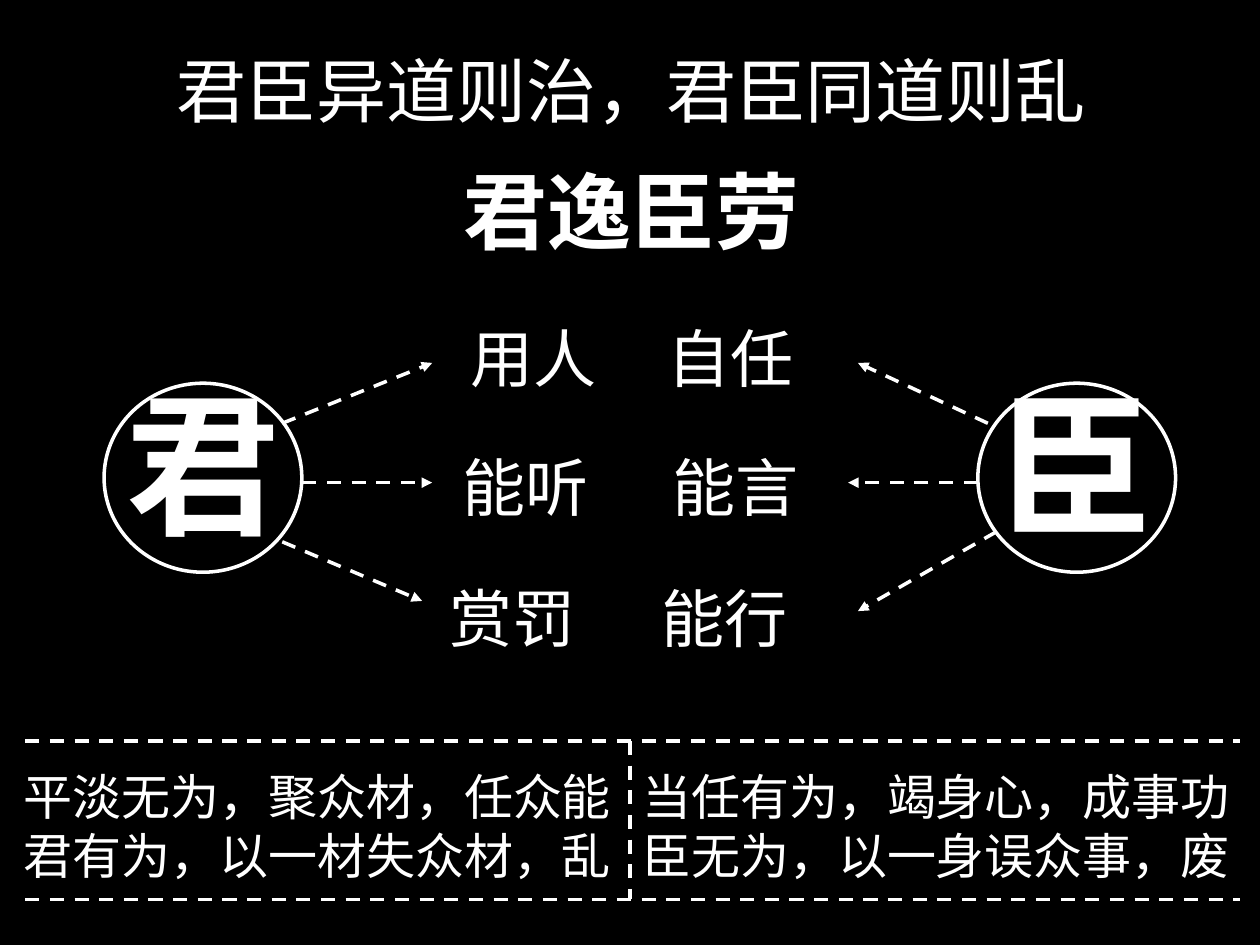
"""Build the slide contrasting the ways of ruler and minister."""
import pptx
import pptx.dml.color
import pptx.enum.dml
import pptx.enum.shapes
import pptx.enum.text
import pptx.oxml
import pptx.oxml.ns
import pptx.util

Pt = pptx.util.Pt
BLACK = pptx.dml.color.RGBColor(0, 0, 0)
WHITE = pptx.dml.color.RGBColor(255, 255, 255)
LATIN, CHINESE = "Arial", "Noto Sans CJK SC"


def write(box, text, size=28, font=LATIN, bold=False, before=0, tab=None,
          align=pptx.enum.text.PP_ALIGN.LEFT, first=False):
    """Add one formatted paragraph to a box."""
    frame = box.text_frame
    para = frame.paragraphs[0] if first else frame.add_paragraph()
    para.alignment = align
    para.space_before = Pt(before)
    if tab:
        stops = pptx.oxml.parse_xml(
            f'<a:tabLst {pptx.oxml.ns.nsdecls("a")}><a:tab pos="{Pt(tab)}" algn="l"/></a:tabLst>')
        para._p.get_or_add_pPr().append(stops)
    span = para.add_run()
    span.text = text
    span.font.size = Pt(size)
    span.font.name = font
    span.font.bold = bold
    span.font.color.rgb = WHITE


class Painter:
    """Hold the line style and the current page."""

    def __init__(self, page, weight=2):
        self.page = page
        self.weight = Pt(weight)
        page.background.fill.solid()
        page.background.fill.fore_color.rgb = BLACK

    def text(self, left, top, width, height, inset=7.2, wrap=True, middle=False):
        """Add an empty text box."""
        box = self.page.shapes.add_textbox(Pt(left), Pt(top), Pt(width), Pt(height))
        box.text_frame.word_wrap = wrap
        box.text_frame.margin_left = Pt(inset)
        if middle:
            box.text_frame.vertical_anchor = pptx.enum.text.MSO_ANCHOR.MIDDLE
        return box

    def circle(self, left, top, width, height):
        """Add an outlined ellipse."""
        oval = self.page.shapes.add_shape(
            pptx.enum.shapes.MSO_SHAPE.OVAL, Pt(left), Pt(top), Pt(width), Pt(height))
        oval.shadow.inherit = False
        oval.fill.background()
        oval.line.color.rgb = WHITE
        oval.line.width = self.weight

    def dash(self, start_x, start_y, end_x, end_y, arrow=False):
        """Add a dashed line, with an arrowhead at its end if asked."""
        line = self.page.shapes.add_connector(
            pptx.enum.shapes.MSO_CONNECTOR.STRAIGHT,
            Pt(start_x), Pt(start_y), Pt(end_x), Pt(end_y))
        line.line.color.rgb = WHITE
        line.line.width = self.weight
        line.line.dash_style = pptx.enum.dml.MSO_LINE.DASH
        space = pptx.oxml.ns.nsdecls("a")
        if arrow:
            line.line._get_or_add_ln().append(
                pptx.oxml.parse_xml(f'<a:tailEnd {space} type="triangle"/>'))
        line._element.spPr.append(pptx.oxml.parse_xml(f"<a:effectLst {space}/>"))


def main():
    """Build and save the deck."""
    deck = pptx.Presentation()
    deck.slide_width, deck.slide_height = Pt(720), Pt(540)
    painter = Painter(deck.slides.add_slide(deck.slide_layouts[6]))

    center = pptx.enum.text.PP_ALIGN.CENTER
    title = painter.text(36.7, 31.7, 648, 112.3, middle=True)
    write(title, "君臣异道则治，君臣同道则乱", size=40, align=center, first=True)
    write(title, "君逸臣劳", size=48, bold=True, align=center, before=16)

    for role, left in (("君", 59.5), ("臣", 558.8)):
        painter.circle(left, 219, 113, 108)
        write(painter.text(left + 5.5, 207.4, 91, 113), role, size=88, bold=True, first=True)

    for ruler, minister, left, top, tab in (
            ("用人", "自任", 268.6, 179.3, 113),
            ("能听", "能言", 264.2, 252.7, 120),
            ("赏罚", "能行", 257, 327.6, 121)):
        row = painter.text(left, top, 234, 50, inset=0)
        write(row, f"{ruler}\t{minister}", size=36, font=CHINESE, tab=tab, first=True)

    for arrow in (
            (172.8, 275.8, 247, 275.8), (161.3, 241.9, 247, 207.4),
            (161.3, 309.6, 241.2, 343.4), (558.7, 275.8, 484.6, 275.8),
            (569.5, 303.8, 490.3, 349.2), (564.5, 241.9, 490.3, 207.4)):
        painter.dash(*arrow, arrow=True)

    top, bottom = 423.4, 514
    painter.dash(360, top, 360, bottom)
    for level in (top, bottom):
        painter.dash(14.4, level, 708.5, level)

    for left, lines in (
            (6.5, ("平淡无为，聚众材，任众能", "君有为，以一材失众材，乱")),
            (360, ("当任有为，竭身心，成事功", "臣无为，以一身误众事，废"))):
        verdict = painter.text(left, 434.5, 351, 75, wrap=False)
        for index, line in enumerate(lines):
            write(verdict, line, first=index == 0)

    deck.save("out.pptx")


if __name__ == "__main__":
    main()
